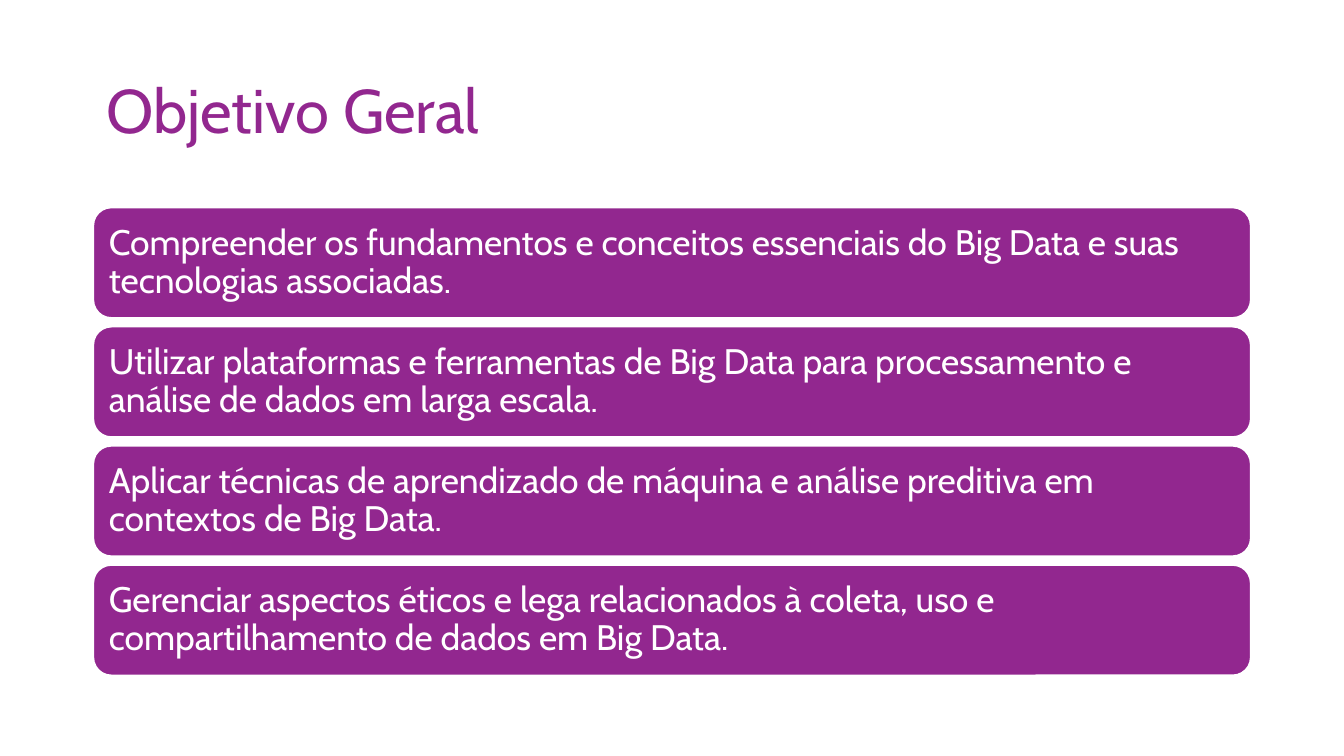
from pptx import Presentation
from pptx import util as u
from pptx.dml.color import RGBColor
from pptx.enum import shapes, text

COLORS = {"purple": "92278F", "white": "FFFFFF"}
WIDTH = u.Inches(10)
HEIGHT = WIDTH * 9 // 16
LEFT, SPAN = u.Inches(0.69), u.Inches(8.62)
FIRST_TOP, LAST_TOP, BAR_HEIGHT = u.Inches(1.54), u.Inches(4.2), u.Inches(0.83)

GOALS = [
    "Compreender os fundamentos e conceitos essenciais do Big Data e suas tecnologias associadas.",
    "Utilizar plataformas e ferramentas de Big Data para processamento e análise de dados em larga escala.",
    "Aplicar técnicas de aprendizado de máquina e análise preditiva em contextos de Big Data.",
    "Gerenciar aspectos éticos e lega relacionados à coleta, uso e compartilhamento de dados em Big Data.",
]
PITCH = (LAST_TOP - FIRST_TOP) // (len(GOALS) - 1)


def rgb(name):
    return RGBColor.from_string(COLORS[name])


def write(tf, content, size, color, font="Cabin", spacing=0.9, inset=0.1):
    tf.word_wrap = True
    tf.auto_size = text.MSO_AUTO_SIZE.NONE
    tf.vertical_anchor = text.MSO_ANCHOR.MIDDLE
    tf.margin_left = tf.margin_right = u.Inches(inset)
    tf.margin_top = tf.margin_bottom = u.Inches(inset)
    p = tf.paragraphs[0]
    p.alignment = text.PP_ALIGN.LEFT
    p.line_spacing = spacing
    r = p.add_run()
    r.text = content
    r.font.name = font
    r.font.size = u.Pt(size)
    r.font.color.rgb = rgb(color)


class Deck:
    def __init__(self):
        self.prs = Presentation()
        self.prs.slide_width, self.prs.slide_height = WIDTH, HEIGHT
        self.s = self.prs.slides.add_slide(self.prs.slide_layouts[5])

    def title(self, content):
        sp = self.s.shapes.title
        sp.left, sp.top = LEFT, u.Inches(0.3)
        sp.width, sp.height = SPAN, u.Inches(1.09)
        write(sp.text_frame, content, size=33, color="purple")

    def bar(self, row, content):
        sp = self.s.shapes.add_shape(
            shapes.MSO_SHAPE.ROUNDED_RECTANGLE,
            LEFT, FIRST_TOP + row * PITCH, SPAN, BAR_HEIGHT)
        sp.shadow.inherit = False
        sp.fill.solid()
        sp.fill.fore_color.rgb = rgb("purple")
        sp.line.color.rgb = rgb("white")
        sp.line.width = u.Pt(1.5)
        write(sp.text_frame, content, size=19, color="white", inset=0.08)


def main():
    deck = Deck()
    deck.title("Objetivo Geral")

    # One bar for each goal
    for row, goal in enumerate(GOALS):
        deck.bar(row, goal)

    deck.prs.save("out.pptx")


if __name__ == "__main__":
    main()
